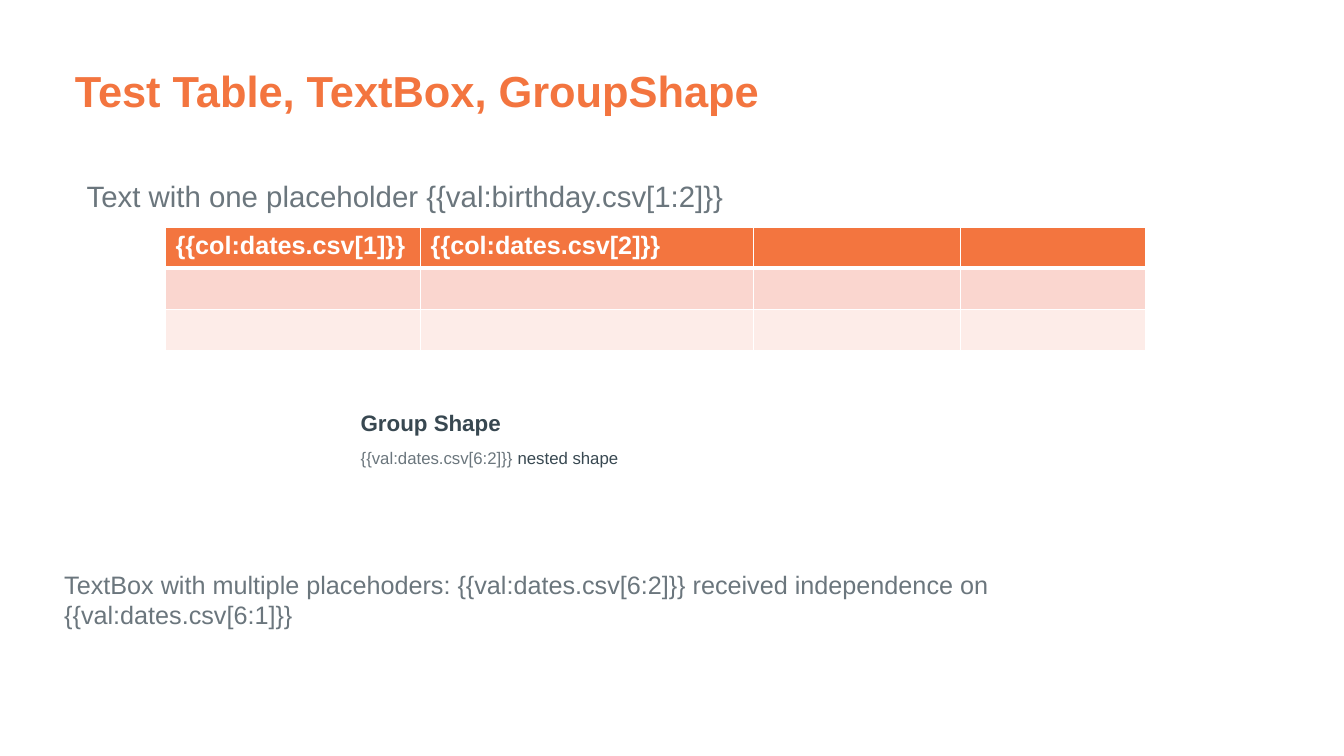
from dataclasses import dataclass

from lxml import etree
from pptx import Presentation
from pptx.dml.color import RGBColor
from pptx.enum.text import MSO_ANCHOR, MSO_AUTO_SIZE, PP_ALIGN
from pptx.oxml.ns import qn
from pptx.util import Cm, Pt

LEFT = PP_ALIGN.LEFT
TOP = MSO_ANCHOR.TOP
BOTTOM = MSO_ANCHOR.BOTTOM
FIXED = MSO_AUTO_SIZE.NONE
GROW = MSO_AUTO_SIZE.SHAPE_TO_FIT_TEXT

FONT = "Arial"
COLORS = {
    "orange": "F3753F",
    "gray": "6B767D",
    "dark": "384851",
    "rose": "FAD6CF",
    "blush": "FDECE8",
    "white": "FFFFFF",
}
WIDTHS = (6.43, 8.38, 5.23, 4.67)
ROW = 1.04
FILLS = ("orange", "rose", "blush")
HEADS = ("{{col:dates.csv[1]}}", "{{col:dates.csv[2]}}")


@dataclass
class Box:
    left: float
    top: float
    width: float
    height: float

    def sides(self) -> tuple:
        return Cm(self.left), Cm(self.top), Cm(self.width), Cm(self.height)


@dataclass
class Label:
    box: Box
    runs: tuple
    size: float
    bold: bool = False


NOTE = Label(
    Box(1.37, 14.22, 28.07, 1.8),
    (("TextBox with multiple placehoders: {{val:dates.csv[6:2]}} "
      "received independence on {{val:dates.csv[6:1]}}", "gray"),),
    18,
)
NESTED = (
    Label(Box(8.84, 11.15, 12.7, 0.76),
          (("{{val:dates.csv[6:2]}} ", "gray"), ("nested shape", "dark")), 12),
    Label(Box(8.84, 10.19, 12.7, 0.94), (("Group Shape", "dark"),), 16, True),
)


def write(frame, *runs, size: float, bold: bool = False, anchor=TOP,
          fit=FIXED, space: float = 1, before: float = 0) -> None:
    frame.word_wrap = True
    frame.auto_size = fit
    frame.vertical_anchor = anchor
    para = frame.paragraphs[0]
    para.alignment = LEFT
    para.line_spacing = space
    para.space_before = Pt(before)
    for text, color in runs:
        run = para.add_run()
        run.text = text
        run.font.name = FONT
        run.font.size = Pt(size)
        run.font.bold = bold
        run.font.color.rgb = RGBColor.from_string(COLORS[color])


def place(shape, box: Box) -> None:
    shape.left, shape.top, shape.width, shape.height = box.sides()


def add_label(shapes, label: Label) -> None:
    shape = shapes.add_textbox(*label.box.sides())
    write(shape.text_frame, *label.runs, size=label.size, bold=label.bold, fit=GROW)


def edge(cell, side: str, width: float) -> None:
    line = etree.SubElement(cell._tc.get_or_add_tcPr(), qn(f"a:ln{side}"), w=str(Pt(width)))
    fill = etree.SubElement(line, qn("a:solidFill"))
    etree.SubElement(fill, qn("a:srgbClr"), val=COLORS["white"])


def add_grid(shapes) -> None:
    box = Box(4.17, 5.72, sum(WIDTHS), ROW * len(FILLS))
    table = shapes.add_table(len(FILLS), len(WIDTHS), *box.sides()).table
    for col, width in zip(table.columns, WIDTHS):
        col.width = Cm(width)
    for i, color in enumerate(FILLS):
        table.rows[i].height = Cm(ROW)
        for cell in table.rows[i].cells:
            thick = {"T": 3 if i == 1 else 1, "B": 3 if i == 0 else 1}
            for side in "LRTB":
                edge(cell, side, thick.get(side, 1))
            cell.fill.solid()
            cell.fill.fore_color.rgb = RGBColor.from_string(COLORS[color])
    for i, text in enumerate(HEADS):
        write(table.cell(0, i).text_frame, (text, "white"), size=18, bold=True)


def main() -> None:
    deck = Presentation()
    deck.slide_width, deck.slide_height = Cm(33.87), Cm(19.05)
    slide = deck.slides.add_slide(deck.slide_layouts[1])
    title, body = slide.placeholders

    place(body, Box(1.93, 4.19, 20.88, 1.52))
    write(body.text_frame, ("Text with one placeholder {{val:birthday.csv[1:2]}}", "gray"),
          size=21, space=1.2, before=10)
    props = body.text_frame.paragraphs[0]._p.get_or_add_pPr()
    props.set("marL", "0")
    props.set("indent", "0")
    etree.SubElement(props, qn("a:buNone"))

    place(title, Box(1.63, 1.09, 29.21, 1.98))
    write(title.text_frame, ("Test Table, TextBox, GroupShape", "orange"),
          size=31, bold=True, anchor=BOTTOM, space=0.9)

    add_grid(slide.shapes)
    add_label(slide.shapes, NOTE)
    group = slide.shapes.add_group_shape()
    for label in NESTED:
        add_label(group.shapes, label)
    deck.save("out.pptx")


if __name__ == "__main__":
    main()
